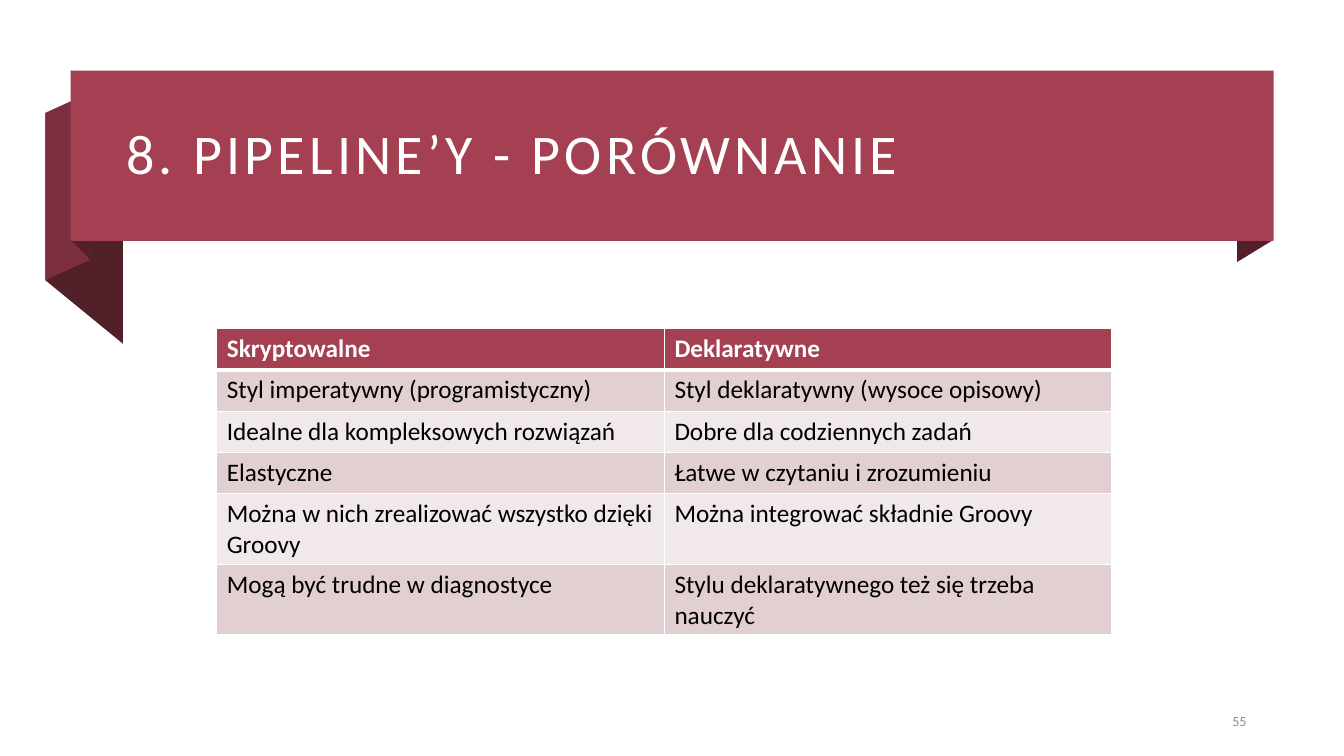
from lxml import etree
from pptx import Presentation
from pptx import util as u
from pptx.dml.color import RGBColor
from pptx.enum import shapes, text
from pptx.oxml.ns import qn

COLORS = {"band": "A53F52", "fold": "7C2F3E", "shade": "522029", "white": "FFFFFF",
          "black": "000000", "grey": "8C8C8C", "odd": "E1CFD1", "even": "F0E8E9"}

# Ribbon folds: left x, top, bottom; right x, top, bottom; colour
FOLDS = [
    (12.27, 0.91, 2.60, 12.63, 0.70, 2.38, "shade"),
    (0.45, 1.12, 2.78, 1.22, 1.75, 3.41, "shade"),
    (0.45, 1.12, 2.78, 0.89, 0.92, 2.58, "fold"),
    (0.71, 0.70, 2.39, 0.89, 0.89, 2.57, "shade"),
]

ROWS = [
    ("Skryptowalne", "Deklaratywne"),
    ("Styl imperatywny (programistyczny)", "Styl deklaratywny (wysoce opisowy)"),
    ("Idealne dla kompleksowych rozwiązań", "Dobre dla codziennych zadań"),
    ("Elastyczne", "Łatwe w czytaniu i zrozumieniu"),
    ("Można w nich zrealizować wszystko dzięki Groovy", "Można integrować składnie Groovy"),
    ("Mogą być trudne w diagnostyce", "Stylu deklaratywnego też się trzeba nauczyć"),
]
ROW_HEIGHTS = [0.41] * 4 + [0.7] * 2


def rgb(name):
    return RGBColor.from_string(COLORS[name])


class Deck:
    """Holds the style and the current slide."""

    def __init__(self, font):
        self.font = font
        self.prs = Presentation()
        self.prs.slide_width, self.prs.slide_height = u.Inches(13.33), u.Inches(7.5)
        self.s = self.prs.slides.add_slide(self.prs.slide_layouts[5])

    def paint(self, sp, color):
        sp.shadow.inherit = False
        sp.fill.solid()
        sp.fill.fore_color.rgb = rgb(color)
        sp.line.fill.background()

    def put_text(self, tf, content, color, para=None, **font):
        tf.word_wrap = True
        p = tf.paragraphs[0]
        for name, value in (para or {}).items():
            setattr(p, name, value)
        r = p.add_run()
        r.text = content
        r.font.color.rgb = rgb(color)
        for name, value in {"name": self.font, **font}.items():
            setattr(r.font, name, value)
        return r

    def fold(self, x1, top1, bottom1, x2, top2, bottom2, color):
        corners = [(x2, bottom2), (x1, bottom1), (x1, top1), (x2, top2)]
        points = [(u.Inches(x), u.Inches(y)) for x, y in corners]
        builder = self.s.shapes.build_freeform(*points[0])
        builder.add_line_segments(points[1:], close=True)
        self.paint(builder.convert_to_shape(), color)

    def rect(self, box, color):
        sp = self.s.shapes.add_shape(shapes.MSO_SHAPE.RECTANGLE, *map(u.Inches, box))
        self.paint(sp, color)

    def title(self, box, content):
        sp = self.s.shapes.title
        sp.left, sp.top, sp.width, sp.height = map(u.Inches, box)
        tf = sp.text_frame
        tf.auto_size = text.MSO_AUTO_SIZE.NONE
        tf.vertical_anchor = text.MSO_ANCHOR.MIDDLE
        r = self.put_text(tf, content, "white",
                          {"alignment": text.PP_ALIGN.LEFT, "line_spacing": 0.9}, size=u.Pt(40))
        r._r.get_or_add_rPr().set("spc", "300")
        # Bring the title in front of the ribbon
        self.s.shapes._spTree.append(sp._element)

    def label(self, box, content):
        tf = self.s.shapes.add_textbox(*map(u.Inches, box)).text_frame
        tf.vertical_anchor = text.MSO_ANCHOR.MIDDLE
        self.put_text(tf, content, "grey",
                      {"alignment": text.PP_ALIGN.RIGHT, "space_after": u.Pt(6)}, size=u.Pt(10))

    def borders(self, cell, widths):
        tc_pr = cell._tc.get_or_add_tcPr()
        for i, (side, width) in enumerate(widths.items()):
            ln = etree.Element(qn(f"a:ln{side}"), w=str(u.Pt(width)))
            fill = etree.SubElement(ln, qn("a:solidFill"))
            etree.SubElement(fill, qn("a:srgbClr"), val=COLORS["white"])
            tc_pr.insert(i, ln)

    def table(self, left, top, col_width, heights, rows):
        n = len(rows[0])
        frame = self.s.shapes.add_table(len(rows), n, *map(
            u.Inches, (left, top, col_width * n, sum(heights))))
        tbl = frame.table
        for col in tbl.columns:
            col.width = u.Inches(col_width)
        for i, row in enumerate(rows):
            tbl.rows[i].height = u.Inches(heights[i])
            header = i == 0
            fill = "band" if header else ("even", "odd")[i % 2]
            for j, content in enumerate(row):
                cell = tbl.cell(i, j)
                cell.fill.solid()
                cell.fill.fore_color.rgb = rgb(fill)
                self.put_text(cell.text_frame, content, "white" if header else "black",
                              size=u.Pt(18), bold=header)
                self.borders(cell, {"L": 1, "R": 1, "T": 3 if i == 1 else 1,
                                    "B": 3 if header else 1})


def main():
    deck = Deck("Calibri")
    # Ribbon with its title
    for fold in FOLDS:
        deck.fold(*fold)
    deck.rect((0.7, 0.7, 11.93, 1.69), "band")
    deck.title((1.15, 0.83, 11.27, 1.45), "8. PIPELINE’Y - PORÓWNANIE")
    # Page number
    deck.label((11.71, 6.98, 0.75, 0.35), "55")
    # Comparison table
    deck.table(2.15, 3.26, 4.44, ROW_HEIGHTS, ROWS)
    deck.prs.save("out.pptx")


if __name__ == "__main__":
    main()
